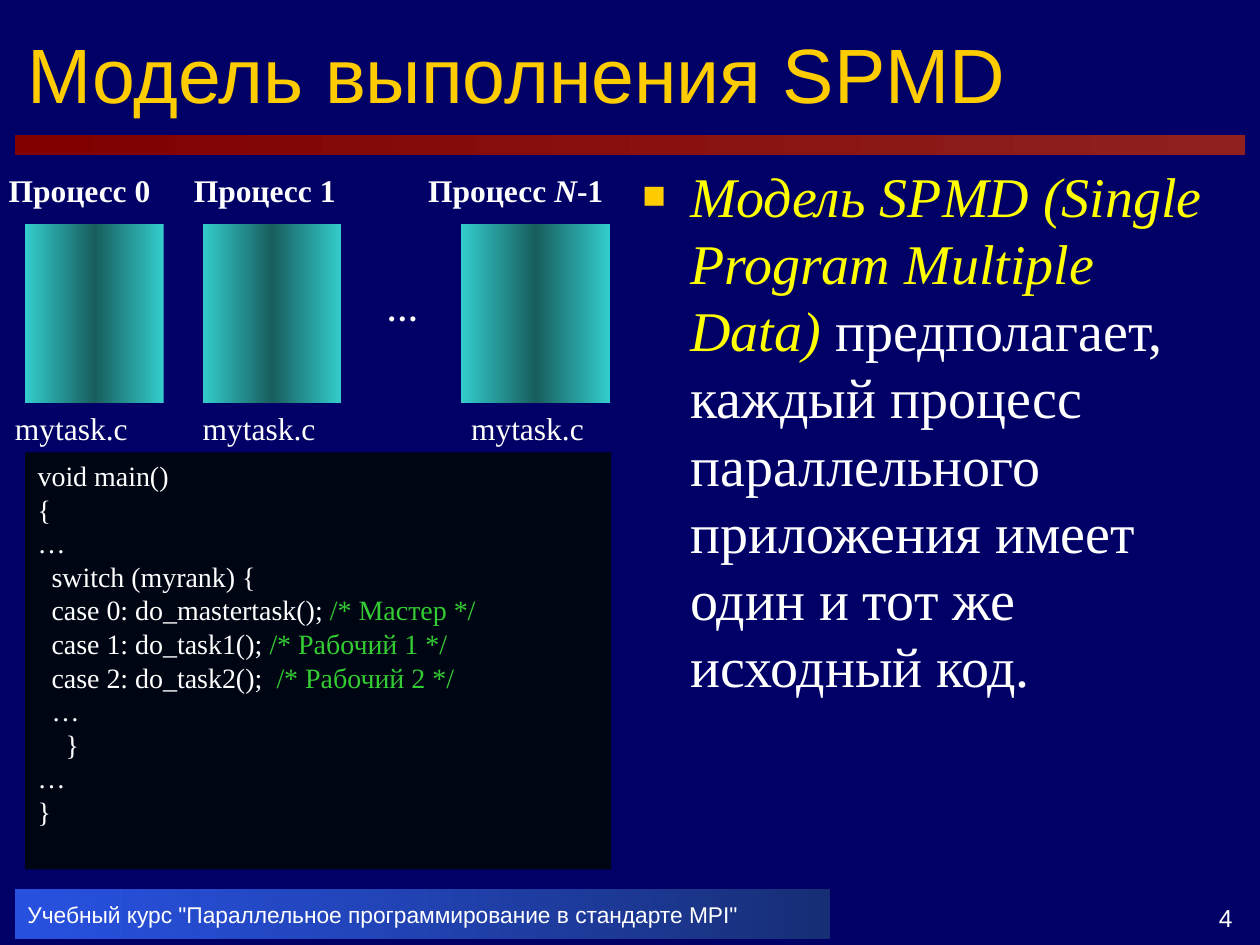
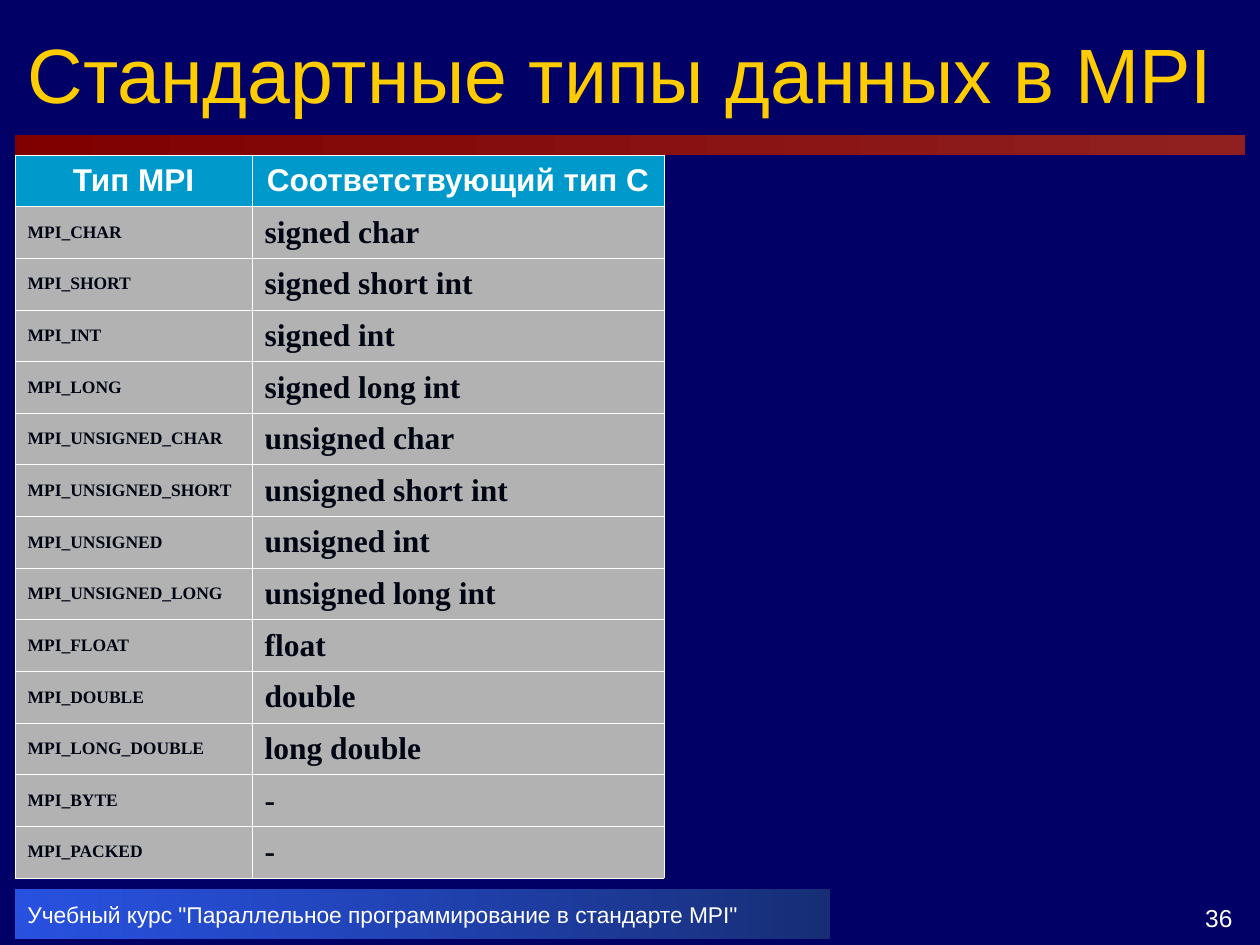
import pptx
import pptx.dml.color
import pptx.enum.shapes
import pptx.enum.text
import pptx.oxml.ns
import pptx.util
from lxml import etree

Inches, Pt = pptx.util.Inches, pptx.util.Pt
rgb = pptx.dml.color.RGBColor.from_string
qn = pptx.oxml.ns.qn
ALIGN = pptx.enum.text.PP_ALIGN
ANCHOR = pptx.enum.text.MSO_ANCHOR

SANS, SERIF = "Arial", "Times New Roman"
NAVY, WHITE, GOLD, YELLOW = "000066", "FFFFFF", "FFCC00", "FFFF00"
GREEN, INK, GRAY, HEADER_BLUE = "33CC33", "000514", "B2B2B2", "0099CC"
BAND_STOPS = [(0, "800000", 100), (100, "902020", 100)]
FOOTER_STOPS = [(0, "3366FF", 80), (100, "182F76", 100)]
PROCESS_STOPS = [(0, "33CCCC", 100), (50, "185E5E", 100), (100, "33CCCC", 100)]
FOOTER = 'Учебный курс "Параллельное программирование в стандарте MPI"'
MARGIN, CONTENT_WIDTH = 0.12, 9.76


def write_text(frame, lines, size, font=SERIF, color=WHITE, bold=False,
               align=ALIGN.LEFT, anchor=ANCHOR.TOP, spacing=None):
    """Fill a text frame; each line is a list of (text, color or None, italic) runs."""
    frame.word_wrap = True
    frame.vertical_anchor = anchor
    for number, runs in enumerate(lines):
        paragraph = frame.paragraphs[0] if number == 0 else frame.add_paragraph()
        paragraph.alignment = align
        if spacing:
            paragraph.line_spacing = Pt(size * spacing)
        for text, run_color, italic in runs:
            run = paragraph.add_run()
            run.text = text
            run.font.name = font
            run.font.size = Pt(size)
            run.font.bold = bold
            run.font.italic = italic
            run.font.color.rgb = rgb(run_color or color)


def add_rectangle(slide, bounds, stops):
    """Add a borderless rectangle; stops are (position, color, opacity), one means solid."""
    shape = slide.shapes.add_shape(pptx.enum.shapes.MSO_SHAPE.RECTANGLE, *map(Inches, bounds))
    shape.shadow.inherit = False
    shape.line.fill.background()
    if len(stops) == 1:
        shape.fill.solid()
        shape.fill.fore_color.rgb = rgb(stops[0][1])
        return shape
    shape.fill.gradient()
    shape.fill.gradient_angle = 0
    stop_list = shape._element.spPr.find(".//" + qn("a:gsLst"))
    for old_stop in list(stop_list):
        stop_list.remove(old_stop)
    for position, color, opacity in stops:
        stop = etree.SubElement(stop_list, qn("a:gs"), pos=str(position * 1000))
        color_element = etree.SubElement(stop, qn("a:srgbClr"), val=color)
        if opacity < 100:
            etree.SubElement(color_element, qn("a:alpha"), val=str(opacity * 1000))
    return shape


presentation = pptx.Presentation()
presentation.slide_width, presentation.slide_height = Inches(10), Inches(7.5)
background = presentation.slide_master.background.fill
background.solid()
background.fore_color.rgb = rgb(NAVY)

# Title, band, footer and number on every slide
slides = []
for title, number in [("Модель выполнения SPMD", "4"),
                      ("Стандартные типы данных в MPI", "36")]:
    slide = presentation.slides.add_slide(presentation.slide_layouts[6])
    slides.append(slide)
    add_rectangle(slide, (MARGIN, 1.07, CONTENT_WIDTH, 0.16), BAND_STOPS)
    number_box = slide.shapes.add_textbox(Inches(8.86), Inches(7.06), Inches(1.02), Inches(0.39))
    write_text(number_box.text_frame, [[(number, None, False)]], 14, SANS,
               align=ALIGN.RIGHT, anchor=ANCHOR.BOTTOM)
    footer = add_rectangle(slide, (MARGIN, 7.06, 6.46, 0.39), FOOTER_STOPS)
    write_text(footer.text_frame, [[(FOOTER, None, False)]], 13, SANS, anchor=ANCHOR.MIDDLE)
    title_box = slide.shapes.add_textbox(Inches(MARGIN), Inches(0.09),
                                         Inches(CONTENT_WIDTH), Inches(0.98))
    write_text(title_box.text_frame, [[(title, None, False)]], 44, SANS, GOLD,
               anchor=ANCHOR.MIDDLE)
model_slide, types_slide = slides

# SPMD model: explanation
body = model_slide.shapes.add_textbox(Inches(5), Inches(1.23), Inches(4.88), Inches(5.75))
bullet_properties = body.text_frame.paragraphs[0]._p.get_or_add_pPr()
bullet_properties.set("marL", str(Inches(0.38)))
bullet_properties.set("indent", str(-Inches(0.38)))
bullet_color = etree.SubElement(bullet_properties, qn("a:buClr"))
etree.SubElement(bullet_color, qn("a:srgbClr"), val=GOLD)
etree.SubElement(bullet_properties, qn("a:buSzPct"), val="70000")
etree.SubElement(bullet_properties, qn("a:buFont"), typeface=SANS)
etree.SubElement(bullet_properties, qn("a:buChar"), char="■")
write_text(body.text_frame, [[
    ("Модель SPMD (Single Program Multiple Data) ", YELLOW, True),
    ("предполагает, каждый процесс параллельного приложения имеет один и тот же исходный код.",
     None, False),
]], 32, spacing=1.2)

# SPMD model: processes, as (left, width) of the block, then label and file positions
processes = [
    (0.2, 1.1, -0.03, 0.02, [("Процесс 0", None, False)]),
    (1.61, 1.1, 1.44, 1.51, [("Процесс 1", None, False)]),
    (3.66, 1.18, 3.3, 3.64, [("Процесс ", None, False), ("N", None, True), ("-1", None, False)]),
]
captions = [(2.97, 2.25, 0.43, [("…", None, False)], True)]
for left, width, label_left, file_left, label in processes:
    add_rectangle(model_slide, (left, 1.78, width, 1.42), PROCESS_STOPS)
    captions.append((label_left, 1.31, 1.77 if len(label) > 1 else 1.5, label, True))
    captions.append((file_left, 3.2, 1.25, [("mytask.c", None, False)], False))
for left, top, width, runs, bold in captions:
    caption = model_slide.shapes.add_textbox(Inches(left), Inches(top), Inches(width), Inches(0.4))
    write_text(caption.text_frame, [runs], 18, bold=bold, spacing=1.2)

# SPMD model: source code, as (code, comment)
code = [
    ("void main()", ""),
    ("{", ""),
    ("…", ""),
    ("  switch (myrank) {", ""),
    ("  case 0: do_mastertask(); ", "/* Мастер */"),
    ("  case 1: do_task1(); ", "/* Рабочий 1 */"),
    ("  case 2: do_task2();  ", "/* Рабочий 2 */"),
    ("  …", ""),
    ("    }", ""),
    ("…", ""),
    ("}", ""),
]
code_lines = []
for statement, comment in code:
    runs = [(statement, None, False)]
    if comment:
        runs.append((comment, GREEN, False))
    code_lines.append(runs)
code_box = add_rectangle(model_slide, (0.2, 3.59, 4.65, 3.31), [(0, INK, 100)])
write_text(code_box.text_frame, code_lines, 16, spacing=1.2)

# MPI data types
data_types = [
    ("Тип MPI", "Соответствующий тип С"),
    ("MPI_CHAR", "signed char"),
    ("MPI_SHORT", "signed short int"),
    ("MPI_INT", "signed int"),
    ("MPI_LONG", "signed long int"),
    ("MPI_UNSIGNED_CHAR", "unsigned char"),
    ("MPI_UNSIGNED_SHORT", "unsigned short int"),
    ("MPI_UNSIGNED", "unsigned int"),
    ("MPI_UNSIGNED_LONG", "unsigned long int"),
    ("MPI_FLOAT", "float"),
    ("MPI_DOUBLE", "double"),
    ("MPI_LONG_DOUBLE", "long double"),
    ("MPI_BYTE", "-"),
    ("MPI_PACKED", "-"),
]
table = types_slide.shapes.add_table(len(data_types), 2, Inches(MARGIN), Inches(1.23),
                                     Inches(5.15), Inches(5.74)).table
table.horz_banding = False
table.columns[0].width, table.columns[1].width = Inches(1.88), Inches(3.27)
for row_number, row in enumerate(data_types):
    table.rows[row_number].height = Inches(0.41)
    is_header = row_number == 0
    for column_number, text in enumerate(row):
        cell = table.cell(row_number, column_number)
        cell_properties = cell._tc.get_or_add_tcPr()
        for side in ("a:lnL", "a:lnR", "a:lnT", "a:lnB"):
            border = etree.SubElement(cell_properties, qn(side), w=str(Pt(0.45)))
            border_fill = etree.SubElement(border, qn("a:solidFill"))
            etree.SubElement(border_fill, qn("a:srgbClr"), val=WHITE)
        cell.fill.solid()
        cell.fill.fore_color.rgb = rgb(HEADER_BLUE if is_header else GRAY)
        cell.vertical_anchor = ANCHOR.MIDDLE
        write_text(cell.text_frame, [[(text, None, False)]],
                   18 if is_header or column_number == 1 else 10,
                   SANS if is_header else SERIF, WHITE if is_header else INK, bold=True,
                   align=ALIGN.CENTER if is_header else ALIGN.LEFT, anchor=ANCHOR.MIDDLE)

presentation.save("out.pptx")
